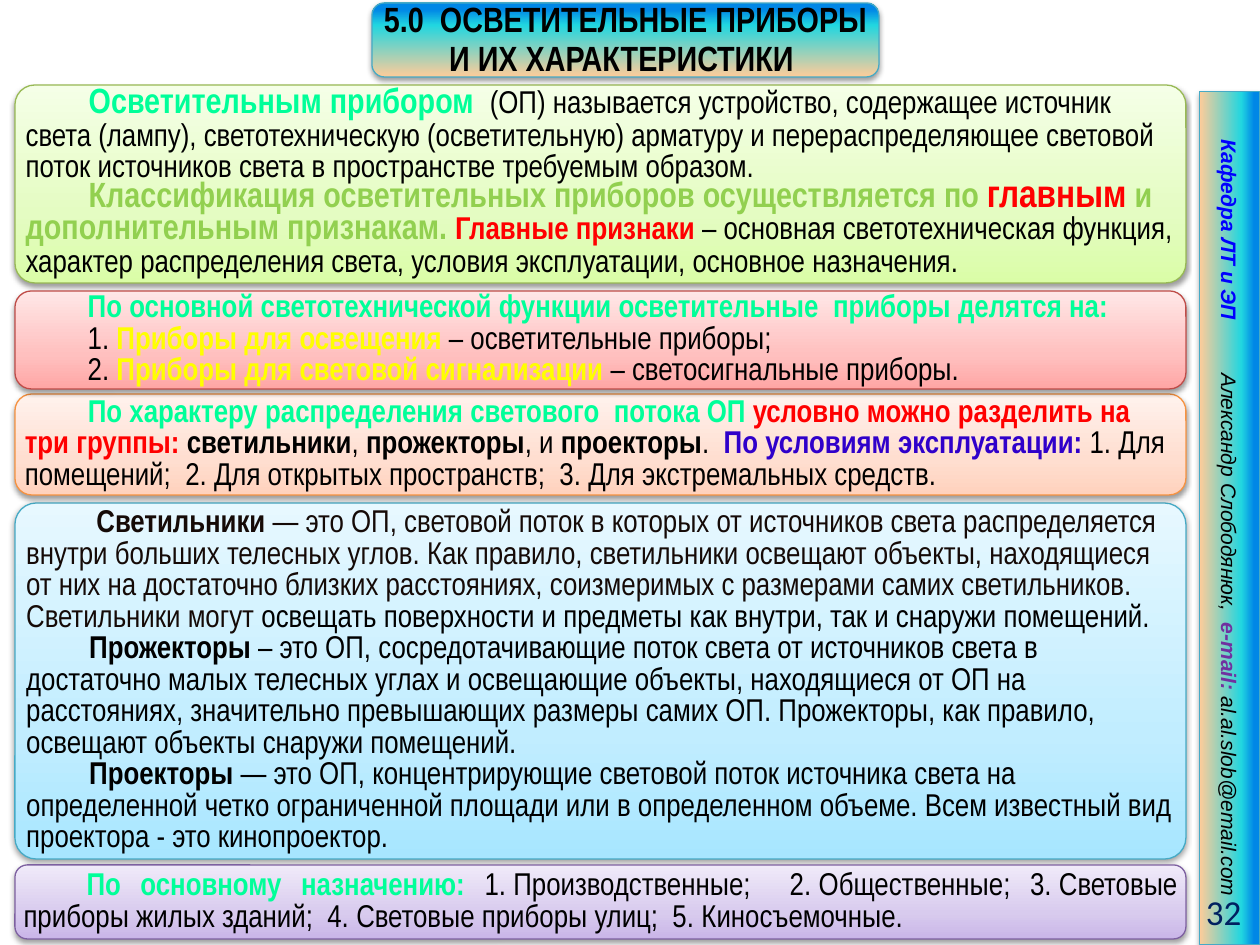
from dataclasses import dataclass

from lxml.etree import SubElement
from pptx import Presentation
from pptx.dml.color import RGBColor as RGB
from pptx.enum.shapes import MSO_SHAPE as SHAPE
from pptx.enum.text import MSO_ANCHOR as ANCHOR, MSO_AUTO_SIZE as AUTO, PP_ALIGN as ALIGN
from pptx.oxml.ns import qn
from pptx.util import Emu, Pt

PX = 914400 / 126
NBSP = chr(160)
BLACK, UMBER = RGB(0, 0, 0), RGB(0x15, 0x0A, 0x07)
MINT, LIME = RGB(0x00, 0xFF, 0x99), RGB(0x92, 0xD0, 0x50)
RED, YELLOW = RGB(0xFF, 0, 0), RGB(0xFF, 0xFF, 0)
BLUE, PURPLE, NAVY = RGB(0, 0, 0xFF), RGB(0x70, 0x30, 0xA0), RGB(0, 0x20, 0x60)
TEAL, VIOLET = RGB(0x46, 0xAA, 0xC5), RGB(0x7D, 0x60, 0xA0)
OLIVE, ORANGE, BRICK = RGB(0x98, 0xB9, 0x55), RGB(0xF6, 0x92, 0x40), RGB(0xBF, 0x4C, 0x48)
DAWN = [(0, RGB(0xFF, 0xCC, 0x99)), (70, RGB(0x21, 0xD6, 0xE0)), (91, RGB(0, 0x87, 0xE6))]
INDIGO = [(0, RGB(0x22, 0, 0x8E)), (50, RGB(0x30, 0, 0xCA)), (100, RGB(0x39, 0, 0xF0))]


@dataclass
class Style:
    """Look of a run; color is a colour or a list of gradient stops."""
    color: object = BLACK
    bold: bool = False
    size: int = None
    outline: tuple = None
    spacing: int = None


SOLID, FINE = (1, 100), (0.07, 55)
PLAIN, STRONG = Style(), Style(bold=True)
DARK, DARK_STRONG = Style(UMBER), Style(UMBER, True)
HEAD, BIG_HEAD = Style(MINT, True, None, SOLID), Style(MINT, True, 20, SOLID)
GREEN = Style(LIME, True, 20, SOLID)
ALERT, BIG_ALERT = Style(RED, True, None, FINE), Style(RED, True, 22, FINE)
DEVICE = Style(YELLOW, True, None, SOLID)
TERMS = Style(INDIGO, True)


def px(n):
    """Turn pixels into EMU."""
    return Emu(round(n * PX))


def add(parent, tag, **attrs):
    """Append a DrawingML element."""
    return SubElement(parent, qn("a:" + tag), {k: str(v) for k, v in attrs.items()})


def add_color(parent, color, alpha=100):
    """Append a colour with its opacity in percent."""
    clr = add(parent, "srgbClr", val=color)
    if alpha < 100:
        add(clr, "alpha", val=alpha * 1000)


def add_gradient(parent, stops):
    """Append a gradient that runs from bottom to top."""
    grad = add(parent, "gradFill", rotWithShape=1)
    gs_lst = add(grad, "gsLst")
    for pos, color in stops:
        add_color(add(gs_lst, "gs", pos=pos * 1000), color)
    add(grad, "lin", ang=16200000, scaled=0)


def add_box(s, kind, box, stops, line):
    """Add a shape with a gradient, a border and a soft shadow."""
    sp = s.shapes.add_shape(kind, *map(px, box))
    spPr = sp._element.spPr
    add_gradient(spPr, stops)
    sp.line.color.rgb = line
    sp.line.width = Pt(0.75)
    shadow = add(add(spPr, "effectLst"), "outerShdw", blurRad=Pt(3.1), dist=Pt(1.6),
                 dir=5400000, rotWithShape=0)
    add_color(shadow, BLACK, 38)
    return sp


def set_frame(tf, inset=None):
    """Wrap and centre a text frame vertically, with equal insets if given."""
    tf.word_wrap = True
    tf.auto_size = AUTO.NONE
    tf.vertical_anchor = ANCHOR.MIDDLE
    if inset is not None:
        tf.margin_left = tf.margin_right = tf.margin_top = tf.margin_bottom = px(inset)


def add_run(p, text, style):
    """Add a styled run, where a tilde stands for a no-break space."""
    r = p.add_run()
    r.text = text.replace("~", NBSP)
    r.font.bold = style.bold
    if style.size:
        r.font.size = Pt(style.size)
    rPr = r.font._element
    if style.spacing:
        rPr.set("spc", str(style.spacing * 100))
    if style.outline:
        width, alpha = style.outline
        ln = add(rPr, "ln", w=Pt(width))
        add_color(add(ln, "solidFill"), BLACK, alpha)
    if isinstance(style.color, list):
        add_gradient(rPr, style.color)
    else:
        r.font.color.rgb = style.color


def fill_paragraph(p, runs, size, name="Arial Narrow", align=ALIGN.LEFT, leading=None):
    """Write runs into a paragraph with a common font."""
    p.alignment = align
    p.font.name = name
    p.font.size = Pt(size)
    if leading:
        p.line_spacing = Pt(leading)
    for text, style in runs:
        add_run(p, text, style)


def add_panel(s, top, height, stops, line, paragraphs, corner=None, align=ALIGN.LEFT):
    """Add a full-width rounded panel of indented paragraphs."""
    shades = [RGB.from_string(c) for c in stops.split()]
    sp = add_box(s, SHAPE.ROUNDED_RECTANGLE, (15, top, 1171, height),
                 list(zip((0, 35, 100), shades)), line)
    if corner:
        sp.adjustments[0] = corner
    tf = sp.text_frame
    set_frame(tf, 5)
    for i, runs in enumerate(paragraphs):
        p = tf.add_paragraph() if i else tf.paragraphs[0]
        fill_paragraph(p, runs, 18, align=align, leading=18)
        p._p.get_or_add_pPr().set("indent", str(px(63)))


def add_title(s):
    """Lay the title placeholder over a rounded banner."""
    box = (372, 3, 507, 74)
    banner = add_box(s, SHAPE.ROUNDED_RECTANGLE, box, DAWN, TEAL)
    sp = s.shapes.title
    sp.left, sp.top, sp.width, sp.height = map(px, box)
    banner._element.addnext(sp._element)
    set_frame(sp.text_frame, 5)
    fill_paragraph(sp.text_frame.paragraphs[0],
                   [("5.0  ОСВЕТИТЕЛЬНЫЕ ПРИБОРЫ И ИХ ХАРАКТЕРИСТИКИ ", STRONG)],
                   20, align=ALIGN.CENTER, leading=22)


def add_side_bar(s):
    """Add the turned author bar and the slide number."""
    sp = add_box(s, SHAPE.RECTANGLE, (803, 488, 853, 60), DAWN, TEAL)
    sp.rotation = 90
    set_frame(sp.text_frame)
    p = sp.text_frame.paragraphs[0]
    fill_paragraph(p, [("Кафедра ЛТ и ЭП", Style(BLUE, True)), (" ", Style(spacing=27)),
                       ("Александр Слободянюк,  ", PLAIN), ("e-mail: ", Style(PURPLE, True)),
                       ("al.al.slob@email.com", PLAIN)], 12, "Arial", ALIGN.CENTER)
    p.font.italic = True
    box = s.shapes.add_textbox(px(1117), px(886), px(137), px(50))
    set_frame(box.text_frame)
    fill_paragraph(box.text_frame.paragraphs[0], [("32", Style(NAVY))], 20, "Calibri", ALIGN.RIGHT)


def main():
    """Build the slide."""
    prs = Presentation()
    prs.slide_width, prs.slide_height = px(1260), px(945)
    s = prs.slides.add_slide(prs.slide_layouts[5])
    add_side_bar(s)
    add_panel(s, 503, 356, "A7E6FF C1EDFF E7F8FF", TEAL, [
        [("~", STRONG), ("Светильники ", DARK_STRONG),
         ("— это ОП, световой поток в которых от источников света распределяется внутри больших телесных углов. Как правило, светильники освещают объекты, находящиеся от них на достаточно близких расстояниях, соизмеримых с размерами самих светильников. Светильники могут ", DARK),
         ("освещать поверхности и предметы как внутри, так и снаружи помещений.", PLAIN)],
        [("Прожекторы ", STRONG),
         ("– это ОП, сосредотачивающие поток света от источников света в достаточно малых телесных углах и освещающие объекты, находящиеся от ОП на расстояниях, значительно превышающих размеры самих ОП. Прожекторы, как правило, освещают объекты снаружи помещений.", PLAIN)],
        [("Проекторы ", STRONG),
         ("— это ОП, концентрирующие световой поток источника света на определенной четко ограниченной площади или в определенном объеме. Всем известный вид проектора - это кинопроектор.", PLAIN)],
    ], 0.06)
    add_panel(s, 865, 74, "C9B5E8 D8CBEE F0EAF9", VIOLET, [
        [("По основному назначению: ", HEAD),
         ("1.~Производственные;  2.~Общественные; 3.~Световые приборы жилых зданий;  4.~Световые приборы улиц;  5.~Киносъемочные.", PLAIN)],
    ], align=ALIGN.JUSTIFY)
    add_panel(s, 85, 198, "DAFDA7 E4FCC2 F5FFE7", OLIVE, [
        [("Осветительным прибором  ", BIG_HEAD),
         ("(ОП) называется устройство, содержащее источник света (лампу), светотехническую (осветительную) арматуру и перераспределяющее световой поток источников света в пространстве требуемым образом.", PLAIN)],
        [("Классификация осветительных приборов осуществляется по ", GREEN), ("главным", BIG_ALERT),
         (" и дополнительным признакам. ", GREEN), ("Главные признаки ", ALERT),
         ("– основная светотехническая функция, характер распределения света, условия эксплуатации, основное назначения.", PLAIN)],
    ], 0.1)
    add_panel(s, 394, 101, "FFD2BD FFDED0 FFF2ED", ORANGE, [
        [("По характеру распределения светового  потока ОП ", HEAD),
         ("условно можно разделить на три группы: ", ALERT),
         ("светильники", STRONG), (", ", PLAIN), ("прожекторы", STRONG), (", и", PLAIN),
         ("~проекторы", STRONG), (".  ", PLAIN), ("По условиям эксплуатации: ", TERMS),
         ("1.~Для помещений;~ 2.~Для открытых пространств;  3.~Для экстремальных средств.", PLAIN)],
    ])
    add_panel(s, 291, 98, "FFA6A5 FFC0BF FFE7E7", BRICK, [
        [("По основной светотехнической функции осветительные  приборы делятся на:", HEAD)],
        [("1.~", PLAIN), ("Приборы для освещения", DEVICE), ("~– осветительные приборы;", PLAIN)],
        [("2.~", PLAIN), ("Приборы для световой сигнализации ", DEVICE), ("– светосигнальные приборы.", PLAIN)],
    ])
    add_title(s)
    prs.save("out.pptx")


if __name__ == "__main__":
    main()
